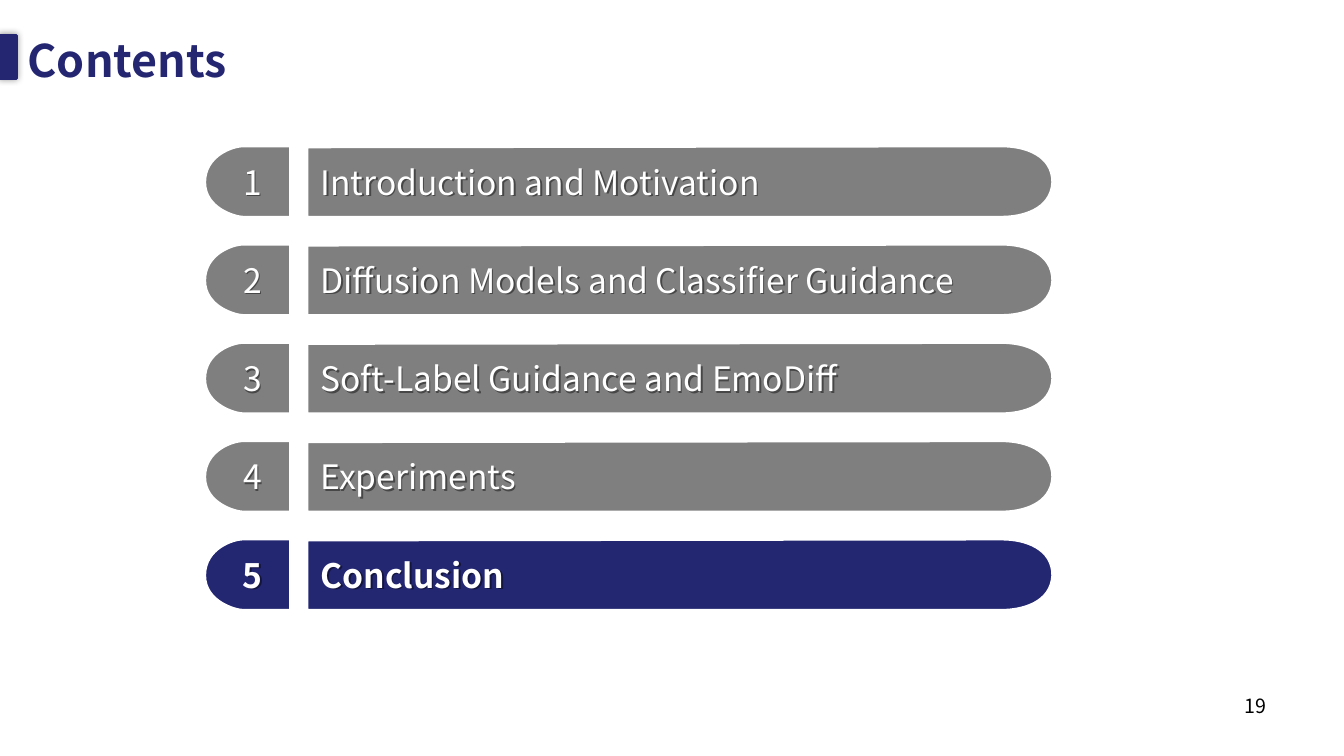
import dataclasses

import pptx
import pptx.dml.color
import pptx.enum.shapes
import pptx.enum.text
import pptx.oxml
import pptx.oxml.ns
import pptx.util

Pt = pptx.util.Pt
qn = pptx.oxml.ns.qn
ALIGN = pptx.enum.text.PP_ALIGN
ANCHOR = pptx.enum.text.MSO_ANCHOR


@dataclasses.dataclass(frozen=True)
class Theme:
    font: str = "Noto Sans CJK SC"
    navy: str = "242671"
    active: str = "232671"
    inactive: str = "7F7F7F"
    white: str = "FFFFFF"
    black: str = "000000"
    title_size: int = 32
    item_size: int = 24
    number_size: int = 14


THEME = Theme()
ITEMS = [
    "Introduction and Motivation",
    "Diffusion Models and Classifier Guidance",
    "Soft-Label Guidance and EmoDiff",
    "Experiments",
    "Conclusion",
]
CURRENT = 5


def rgb(color):
    return pptx.dml.color.RGBColor.from_string(color)


def add_shadow(shape, blur, distance, direction, opacity):
    """Give a shape one black outer shadow."""
    shape.shadow.inherit = False
    effects = shape._element.spPr.find(qn("a:effectLst"))
    effects.append(pptx.oxml.parse_xml(
        f'<a:outerShdw {pptx.oxml.ns.nsdecls("a")} blurRad="{Pt(blur)}" '
        f'dist="{Pt(distance)}" dir="{direction * 60000}" algn="ctr" '
        f'rotWithShape="0"><a:srgbClr val="{THEME.black}">'
        f'<a:alpha val="{opacity * 1000}"/></a:srgbClr></a:outerShdw>'))


def paint(shape, fill, line, width):
    shape.shadow.inherit = False
    shape.fill.solid()
    shape.fill.fore_color.rgb = rgb(fill)
    shape.line.color.rgb = rgb(line)
    shape.line.width = Pt(width)


def add_text(page, box, text, size, color, bold=False, align=ALIGN.LEFT,
             anchor=ANCHOR.MIDDLE, margin=3.6):
    shape = page.shapes.add_textbox(*map(Pt, box))
    frame = shape.text_frame
    frame.word_wrap = True
    frame.vertical_anchor = anchor
    frame.margin_top = frame.margin_bottom = Pt(margin)
    para = frame.paragraphs[0]
    para.alignment = align
    span = para.add_run()
    span.text = text
    span.font.name = THEME.font
    span.font.size = Pt(size)
    span.font.bold = bold
    span.font.color.rgb = rgb(color)
    return shape


def add_outline(page, left, top, corners, curves, fill):
    """Draw straight corners, then cubic curves of three points each."""
    points = [(Pt(left + x), Pt(top + y)) for x, y in corners + curves]
    builder = page.shapes.build_freeform(*points[0])
    builder.add_line_segments(points[1:], close=True)
    shape = builder.convert_to_shape()
    paint(shape, fill, THEME.white, 1.5)
    # Join each three trailing segments into one curve
    segments = list(shape._element.iter(qn("a:lnTo")))[len(corners) - 1:]
    for first in range(0, len(curves), 3):
        bend = pptx.oxml.parse_xml(
            f'<a:cubicBezTo {pptx.oxml.ns.nsdecls("a")}/>')
        segments[first].addprevious(bend)
        for segment in segments[first:first + 3]:
            bend.append(segment[0])
            segment.getparent().remove(segment)


def add_header(page, left, top, width, height):
    # Accent block at the slide edge
    accent = page.shapes.add_shape(
        pptx.enum.shapes.MSO_SHAPE.RECTANGLE,
        Pt(left - 13), Pt(top + 34.6), Pt(12.2), Pt(31))
    paint(accent, THEME.navy, THEME.navy, 2)
    add_shadow(accent, 5, 0, 0, 40)
    # Heading
    add_text(page, (left, top, width, height), "Contents",
             THEME.title_size, THEME.navy, bold=True)


def add_item(page, left, top, width, height, number, label):
    current = number == CURRENT
    fill = THEME.active if current else THEME.inactive
    middle = 0.51 * height
    # Label bar, rounded on the right
    bar_left = 73
    bar = width - bar_left
    bend = bar - 36
    add_outline(page, left + bar_left, top,
                [(0, 0.7), (0, height), (bend, height)],
                [(bar - 22, height), (bar - 1, 45.4), (bar, middle),
                 (bar, 6.5), (bar - 19.4, 0), (bend, 0)], fill)
    # Number tab, rounded on the left
    tab = 60.8
    bend = 27
    add_outline(page, left, top,
                [(tab, 0), (tab, height), (bend, height)],
                [(22.3, height), (0, 44.6), (0, middle),
                 (0, 6.5), (20.2, 0), (bend, 0)], fill)
    # Number and label
    for box, text, align in (
            ((left + 19, top + 7.2, 30.2, 36), str(number), ALIGN.CENTER),
            ((left + 75.4, top + 8.7, 507.6, 33.1), label, ALIGN.LEFT)):
        shape = add_text(page, box, text, THEME.item_size, THEME.white,
                         bold=current, align=align, margin=0)
        add_shadow(shape, 0, 1.5, 45, 43)


def add_agenda(page, left, top, width, row_height, pitch):
    for index, label in enumerate(ITEMS):
        add_item(page, left, top + index * pitch, width, row_height,
                 index + 1, label)


def add_page_number(page, left, top, width, height):
    add_text(page, (left, top, width, height), "19", THEME.number_size,
             THEME.black, align=ALIGN.RIGHT, anchor=ANCHOR.TOP)


def main():
    deck = pptx.Presentation()
    deck.slide_width, deck.slide_height = Pt(960), Pt(540)
    page = deck.slides.add_slide(deck.slide_layouts[6])
    add_header(page, 12.6, -9.4, 932.4, 104.4)
    add_agenda(page, 146.5, 104.5, 605.2, 50.4, 70.2)
    add_page_number(page, 687.8, 491.8, 223.9, 37.4)
    deck.save("out.pptx")


if __name__ == "__main__":
    main()
